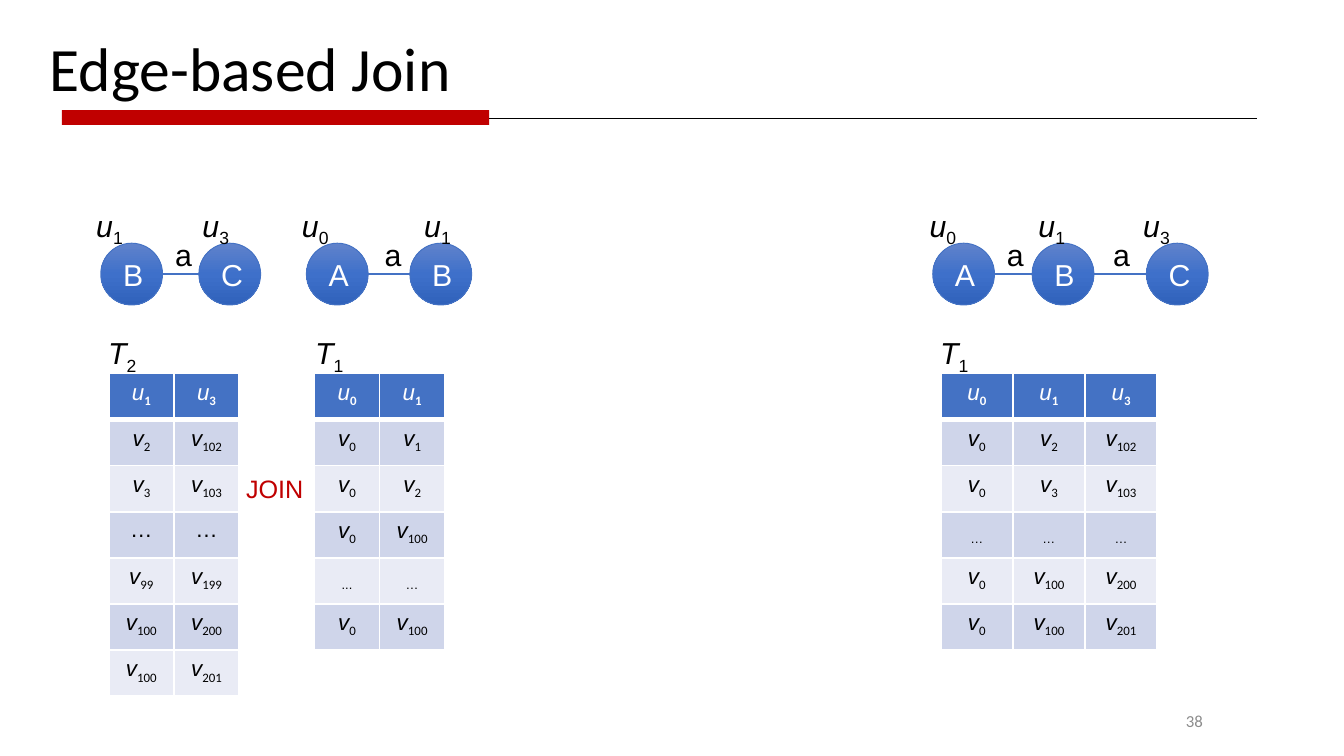
"""Build the slide that explains an edge-based join with graphs and tables."""
from copy import deepcopy
from dataclasses import dataclass
from typing import Any, Optional

from lxml import etree
from pptx import Presentation
from pptx import util as u
from pptx.dml.color import RGBColor
from pptx.enum import shapes, text
from pptx.oxml.ns import qn

BLACK = RGBColor(0x00, 0x00, 0x00)
WHITE = RGBColor(0xFF, 0xFF, 0xFF)
RED = RGBColor(0xC0, 0x00, 0x00)
GRAY = RGBColor(0x8C, 0x8C, 0x8C)
BLUE = RGBColor(0x44, 0x72, 0xC4)
BANDS = (RGBColor(0xCF, 0xD5, 0xEA), RGBColor(0xE9, 0xEB, 0xF5))
NODE_GRADIENT = (
    (0, RGBColor(0x61, 0x83, 0xCB)),
    (0.5, RGBColor(0x3E, 0x70, 0xCA)),
    (1, RGBColor(0x30, 0x62, 0xBB)),
)
SLIDE_WIDTH = 10
SLIDE_HEIGHT = SLIDE_WIDTH * 9 / 16
NODE_SIZE = 0.46
NODE_TOP = 1.81
NODE_MIDDLE = NODE_TOP + NODE_SIZE / 2
TABLE_TOP = 2.78
ROW_HEIGHT = 2.4 / 7


@dataclass
class Node:
    letter: str
    left: float
    name: str
    name_left: float
    edge_label_left: Optional[float] = None


@dataclass
class Relation:
    name: str
    name_left: float
    left: float
    width: float
    rows: tuple[str, ...]


GRAPHS = (
    (Node("B", 0.75, "u_1", 0.61, 1.16), Node("C", 1.48, "u_3", 1.4)),
    (Node("A", 2.28, "u_0", 2.14, 2.72), Node("B", 3.05, "u_1", 3.05)),
    (
        Node("A", 6.94, "u_0", 6.81, 7.35),
        Node("B", 7.68, "u_1", 7.62, 8.14),
        Node("C", 8.53, "u_3", 8.4),
    ),
)
RELATIONS = (
    Relation("T_2", 0.7, 0.81, 0.97, (
        "u_1 u_3", "v_2 v_102", "v_3 v_103", "… …",
        "v_99 v_199", "v_100 v_200", "v_100 v_201",
    )),
    Relation("T_1", 2.24, 2.34, 0.97, (
        "u_0 u_1", "v_0 v_1", "v_0 v_2", "v_0 v_100", "_... _…", "v_0 v_100",
    )),
    Relation("T_1", 6.89, 7, 1.61, (
        "u_0 u_1 u_3", "v_0 v_2 v_102", "v_0 v_3 v_103", "_… _… _…",
        "v_0 v_100 v_200", "v_0 v_100 v_201",
    )),
)


def write(frame: Any, content: str, *, size: float = 16.2, color: RGBColor = BLACK,
          font: str = "Arial", index_font: str = "Arial", index_bold: bool = False,
          align: Any = text.PP_ALIGN.CENTER) -> None:
    """Write text in which an underscore separates a symbol from its subscript."""
    paragraph = frame.paragraphs[0]
    paragraph.alignment = align
    symbol, mark, index = content.partition("_")
    for part, is_index in ((symbol, False), (index, True)):
        if not part:
            continue
        run = paragraph.add_run()
        run.text = part
        run.font.size = u.Pt(size)
        run.font.color.rgb = color
        run.font.name = index_font if is_index and symbol else font
        run.font.bold = is_index and index_bold
        run.font.italic = bool(mark) and not is_index
        if is_index:
            run.font._element.set("baseline", "-25000")


def add_label(parent: Any, content: str, left: float, top: float, width: float = 0.41,
              height: float = 0.37, *, wrap: bool = False, **style: Any) -> Any:
    """Add a text box and return its frame."""
    box = parent.add_textbox(*map(u.Inches, (left, top, width, height)))
    frame = box.text_frame
    frame.word_wrap = wrap
    frame.auto_size = text.MSO_AUTO_SIZE.SHAPE_TO_FIT_TEXT
    write(frame, content, **style)
    return frame


def add_line(parent: Any, start: float, end: float, y: float, color: RGBColor,
             width: float) -> None:
    """Add a horizontal line without a shadow."""
    line = parent.add_connector(shapes.MSO_CONNECTOR.STRAIGHT,
                                *map(u.Inches, (start, y, end, y)))
    line.line.color.rgb = color
    line.line.width = u.Pt(width)
    etree.SubElement(line._element.spPr, qn("a:effectLst"))


def add_node(parent: Any, node: Node) -> None:
    """Add a gradient circle that holds the letter of a node."""
    shape = parent.add_shape(shapes.MSO_SHAPE.OVAL, *map(
        u.Inches, (node.left, NODE_TOP, NODE_SIZE, NODE_SIZE)))
    shape.shadow.inherit = False
    shape.line.color.rgb = BLUE
    shape.line.width = u.Pt(0.5)
    shape.fill.gradient()
    shape.fill.gradient_angle = 270
    stops = shape._element.spPr.find(qn("a:gradFill")).find(qn("a:gsLst"))
    stops.insert(1, deepcopy(stops[0]))
    for stop, (position, color) in zip(shape.fill.gradient_stops, NODE_GRADIENT):
        stop.position = position
        stop.color.rgb = color
    shape.text_frame.vertical_anchor = text.MSO_ANCHOR.MIDDLE
    write(shape.text_frame, node.letter, color=WHITE)


def add_graph(slide: Any, nodes: tuple[Node, ...]) -> None:
    """Add a group of nodes joined in a row by labelled edges."""
    parent = slide.shapes.add_group_shape().shapes
    for node in nodes:
        add_node(parent, node)
        add_label(parent, node.name, node.name_left, 1.49)
    for node, following in zip(nodes, nodes[1:]):
        add_line(parent, node.left + NODE_SIZE, following.left, NODE_MIDDLE, BLUE, 1)
        add_label(parent, "a", node.edge_label_left, 1.71, wrap=True)


def set_borders(cell: Any, top: float, bottom: float) -> None:
    """Give a cell white borders."""
    properties = cell._tc.get_or_add_tcPr()
    for side, width in (("L", 1), ("R", 1), ("T", top), ("B", bottom)):
        border = etree.SubElement(properties, qn(f"a:ln{side}"), w=str(u.Pt(width)))
        fill = etree.SubElement(border, qn("a:solidFill"))
        etree.SubElement(fill, qn("a:srgbClr"), val=str(WHITE))


def add_relation(slide: Any, relation: Relation) -> None:
    """Add a named table of matches."""
    add_label(slide.shapes, relation.name, relation.name_left, 2.44, 0.42)
    rows = [row.split() for row in relation.rows]
    table = slide.shapes.add_table(len(rows), len(rows[0]), *map(u.Inches, (
        relation.left, TABLE_TOP, relation.width, ROW_HEIGHT * len(rows)))).table
    for r, row in enumerate(rows):
        header = r == 0
        for c, content in enumerate(row):
            cell = table.cell(r, c)
            cell.margin_left = cell.margin_right = u.Inches(0.09)
            cell.margin_top = cell.margin_bottom = u.Inches(0.04)
            set_borders(cell, 3 if r == 1 else 1, 3 if header else 1)
            cell.fill.solid()
            cell.fill.fore_color.rgb = BLUE if header else BANDS[(r - 1) % 2]
            write(cell.text_frame, content, size=12, color=WHITE if header else BLACK,
                  index_font="Calibri", index_bold=header)


def main() -> None:
    """Build and save the presentation."""
    presentation = Presentation()
    presentation.slide_width = u.Inches(SLIDE_WIDTH)
    presentation.slide_height = u.Inches(SLIDE_HEIGHT)
    slide = presentation.slides.add_slide(presentation.slide_layouts[5])
    title = slide.shapes.title
    title.left, title.top, title.width, title.height = map(
        u.Inches, (0.27, 0.06, 8.1, 0.94))
    title.text_frame.vertical_anchor = text.MSO_ANCHOR.MIDDLE
    write(title.text_frame, "Edge-based Join", size=33, font="Calibri",
          align=text.PP_ALIGN.LEFT)
    title.text_frame.paragraphs[0].line_spacing = 0.9
    add_line(slide.shapes, 0.46, 9.35, 0.88, BLACK, 0.5)
    bar = slide.shapes.add_shape(shapes.MSO_SHAPE.RECTANGLE, *map(
        u.Inches, (0.46, 0.82, 3.18, 0.11)))
    bar.shadow.inherit = False
    bar.fill.solid()
    bar.fill.fore_color.rgb = RED
    bar.line.fill.background()
    for nodes in GRAPHS:
        add_graph(slide, nodes)
    for relation in RELATIONS:
        add_relation(slide, relation)
    add_label(slide.shapes, "JOIN", 1.73, 3.47, 0.63, 0.33, wrap=True, size=13.5, color=RED)
    number = add_label(slide.shapes, "38", 6.95, 5.21, 2.1, 0.3, wrap=True, size=9,
                       color=GRAY, font="Calibri", align=text.PP_ALIGN.RIGHT)
    number.auto_size = text.MSO_AUTO_SIZE.NONE
    number.vertical_anchor = text.MSO_ANCHOR.MIDDLE
    presentation.save("out.pptx")


if __name__ == "__main__":
    main()
